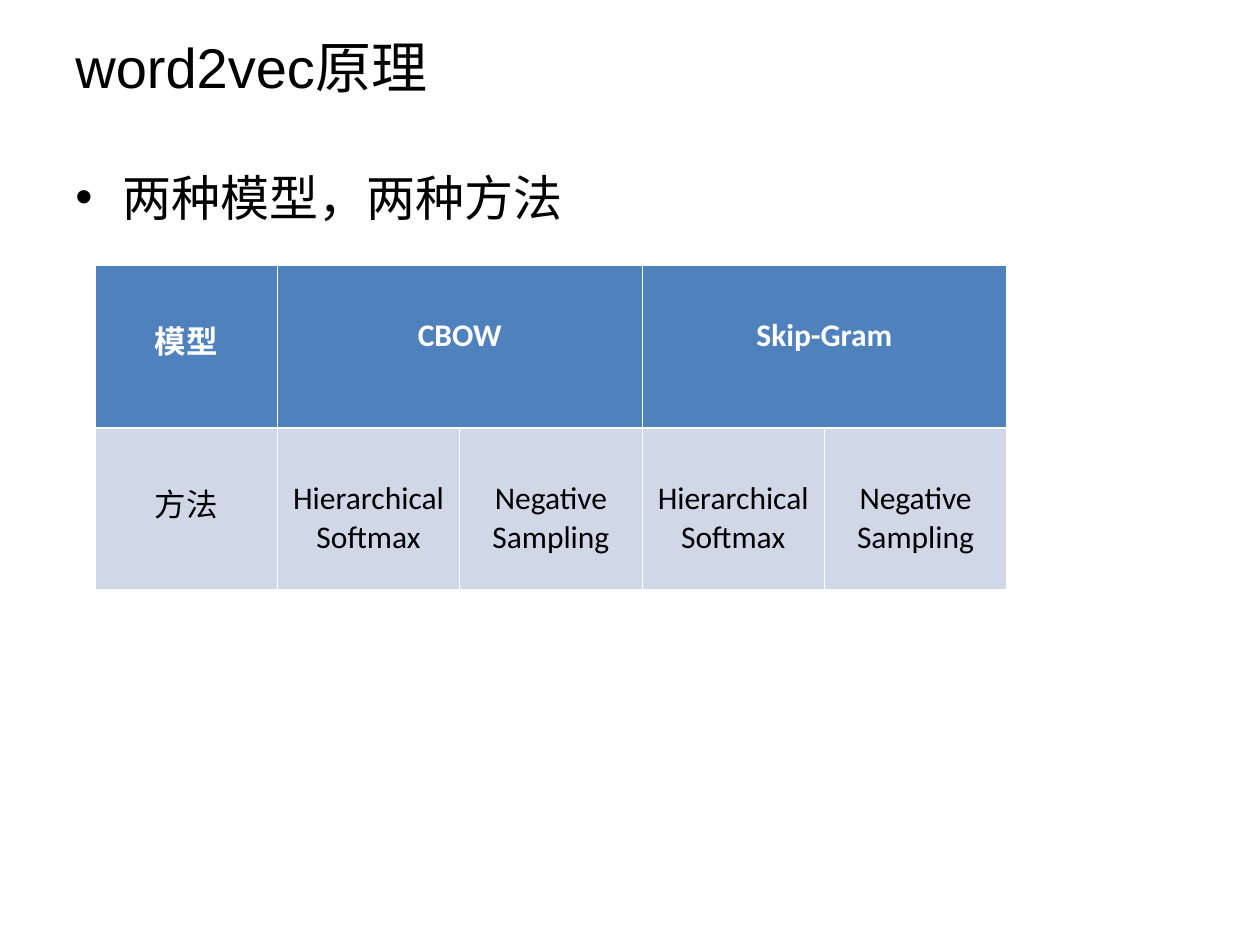
"""Build the word2vec slide: two models, two methods."""
from dataclasses import dataclass

from lxml import etree
from pptx import Presentation
from pptx import util as u
from pptx.dml.color import RGBColor
from pptx.enum import text
from pptx.oxml import ns

TITLE = "word2vec原理"
POINT = "两种模型，两种方法"
MODELS = ["模型", "CBOW", "", "Skip-Gram", ""]
METHODS = ["方法"] + ["Hierarchical Softmax", "Negative Sampling"] * 2
MODEL_SPANS = [(1, 2), (3, 4)]

TITLE_BOX = (63, 26, 1134, 81)
POINT_BOX = (63, 161, 1094, 683)
TABLE_AT = (95, 265)
TABLE_WIDTH = 912
ROW_HEIGHTS = (163, 161)
CELL_TOP = 52
BULLET_INDENT = 47


@dataclass(frozen=True)
class Theme:
    ink: str = "000000"
    white: str = "FFFFFF"
    header: str = "4F81BD"
    body: str = "D0D8E8"
    heading_font: str = "Arial"
    table_font: str = "Calibri"
    title_size: int = 32
    point_size: int = 28
    cell_size: int = 18
    thin: float = 0.45
    thick: float = 1.47


THEME = Theme()


def px(length):
    return u.Emu(round(length * u.Inches(1) / 126))


def style(paragraph, font, size, color, bold=False):
    for run in paragraph.runs:
        run.font.name = font
        run.font.size = u.Pt(size)
        run.font.bold = bold
        run.font.color.rgb = RGBColor.from_string(color)


def add_heading(slide, box, words, size, anchor):
    frame = slide.shapes.add_textbox(*map(px, box)).text_frame
    frame.word_wrap = True
    frame.vertical_anchor = anchor
    paragraph = frame.paragraphs[0]
    paragraph.text = words
    style(paragraph, THEME.heading_font, size, THEME.ink)
    return paragraph


def add_bullet(paragraph):
    paragraph.space_before = u.Pt(7)
    properties = paragraph._p.get_or_add_pPr()
    properties.set("marL", str(px(BULLET_INDENT)))
    properties.set("indent", str(-px(BULLET_INDENT)))
    etree.SubElement(properties, ns.qn("a:buFont"), typeface=THEME.heading_font)
    etree.SubElement(properties, ns.qn("a:buChar"), char="•")


def add_borders(cell, widths):
    properties = cell._tc.get_or_add_tcPr()
    for side, width in widths.items():
        line = etree.SubElement(properties, ns.qn(f"a:ln{side}"), w=str(u.Pt(width)))
        fill = etree.SubElement(line, ns.qn("a:solidFill"))
        etree.SubElement(fill, ns.qn("a:srgbClr"), val=THEME.white)


def fill_cell(cell, words, is_header):
    top, bottom = (THEME.thin, THEME.thick) if is_header else (THEME.thick, THEME.thin)
    add_borders(cell, {"L": THEME.thin, "R": THEME.thin, "T": top, "B": bottom})
    cell.fill.solid()
    cell.fill.fore_color.rgb = RGBColor.from_string(THEME.header if is_header else THEME.body)
    cell.margin_top = px(CELL_TOP)
    paragraph = cell.text_frame.paragraphs[0]
    paragraph.text = words
    paragraph.alignment = text.PP_ALIGN.CENTER
    style(paragraph, THEME.table_font, THEME.cell_size,
          THEME.white if is_header else THEME.ink, is_header)


def add_model_table(slide):
    rows = [MODELS, METHODS]
    box = (*TABLE_AT, TABLE_WIDTH, sum(ROW_HEIGHTS))
    table = slide.shapes.add_table(len(rows), len(MODELS), *map(px, box)).table
    table.horz_banding = False
    for r, (labels, height) in enumerate(zip(rows, ROW_HEIGHTS)):
        table.rows[r].height = px(height)
        for c, words in enumerate(labels):
            fill_cell(table.cell(r, c), words, r == 0)
    for first, last in MODEL_SPANS:
        table.cell(0, first).merge(table.cell(0, last))


def main():
    deck = Presentation()
    deck.slide_width, deck.slide_height = px(1260), px(945)
    slide = deck.slides.add_slide(deck.slide_layouts[6])
    add_heading(slide, TITLE_BOX, TITLE, THEME.title_size, text.MSO_ANCHOR.MIDDLE)
    add_bullet(add_heading(slide, POINT_BOX, POINT, THEME.point_size, text.MSO_ANCHOR.TOP))
    add_model_table(slide)
    deck.save("out.pptx")


if __name__ == "__main__":
    main()
